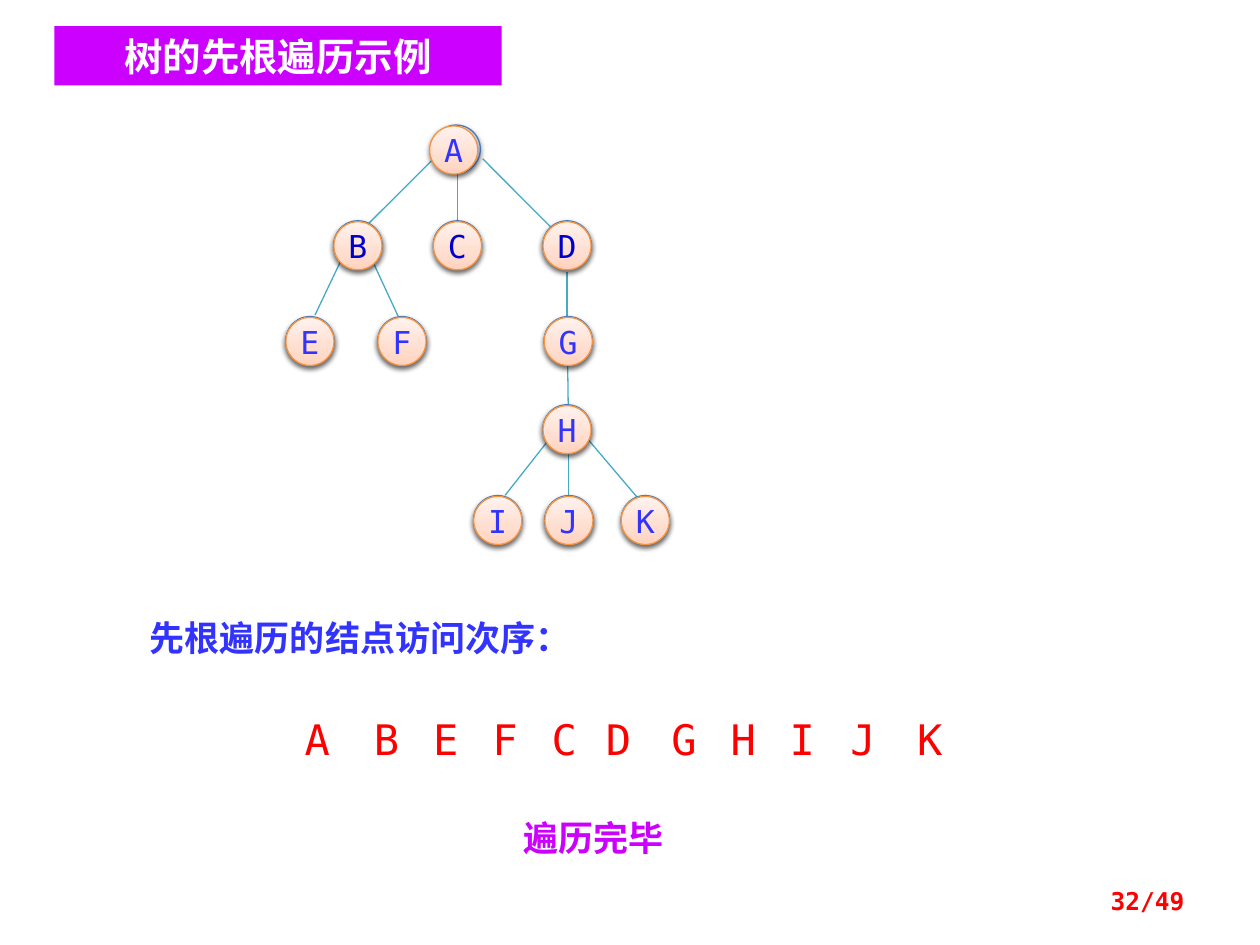
from dataclasses import dataclass

from pptx import Presentation
from pptx.dml.color import RGBColor
from pptx.enum.shapes import MSO_CONNECTOR, MSO_SHAPE
from pptx.enum.text import MSO_ANCHOR, PP_ALIGN
from pptx.oxml import parse_xml
from pptx.oxml.ns import nsdecls, qn
from pptx.util import Pt


@dataclass(frozen=True)
class Theme:
    mono: str = "DejaVu Sans Mono"
    han: str = "Noto Sans CJK SC"
    white: str = "FFFFFF"
    blue: str = "3333FF"
    navy: str = "0000CC"
    red: str = "FF0000"
    pink: str = "CC00FF"
    edge: str = "46AAC5"
    # Outline, then gradient colours from bottom to top
    cool: tuple = ("4B7EBC", "A4C4FF", "BFD4FF", "E6EEFF")
    warm: tuple = ("F69240", "FFD2BD", "FFDED0", "FFF2ED")
    title: int = 22
    body: int = 20
    order: int = 24
    node: int = 18
    page: int = 14
    thin: float = 0.75


THEME = Theme()
SIZE = 27.5
ROWS = (72, 126.7, 181.4, 231.8, 283.7)

# Letter: left, tree level
NODES = {
    "A": (245.5, 0), "B": (190.8, 1), "C": (247.7, 1), "D": (310.3, 1),
    "E": (163.4, 2), "F": (216, 2), "G": (311, 2), "H": (310.3, 3),
    "I": (270.7, 4), "J": (311.4, 4), "K": (355, 4),
}
EDGES = (
    (248.4, 90, 210.2, 128.2), (261.4, 98.6, 261.4, 126.7),
    (275.8, 90.7, 314.6, 129.6), (194.4, 149.8, 180, 180),
    (213.8, 151.2, 227.5, 180.7), (324, 155.5, 324, 180.7),
    (324.4, 208.8, 324.7, 231.1), (312.5, 252.7, 288.7, 283),
    (324.7, 259.2, 324.7, 283.7), (336.2, 251.3, 364.3, 284.4),
)
# Left of each letter in visiting order
VISITS = {
    "A": 167, "B": 206.6, "E": 240.5, "F": 274.3, "C": 308.2, "D": 339.1,
    "G": 376.6, "H": 410.4, "I": 444.2, "J": 478.8, "K": 517,
}


def write(shape, text, size, color, bold=False, align=PP_ALIGN.LEFT,
          anchor=MSO_ANCHOR.TOP, wrap=True, face=THEME.mono):
    frame = shape.text_frame
    frame.text = text
    frame.word_wrap = wrap
    frame.vertical_anchor = anchor
    para = frame.paragraphs[0]
    para.alignment = align
    font = para.runs[0].font
    font.size = Pt(size)
    font.bold = bold
    font.name = face
    font.color.rgb = RGBColor.from_string(color)
    font.fill.solid()
    font.color.rgb = RGBColor.from_string(color)
    latin = para.runs[0].font._element.find(qn("a:latin"))
    latin.addnext(parse_xml(f'<a:ea {nsdecls("a")} typeface="{THEME.han}"/>'))


def label(slide, box, text, size, color, **style):
    shape = slide.shapes.add_textbox(*map(Pt, box))
    write(shape, text, size, color, **style)


def banner(slide, box, text):
    shape = slide.shapes.add_shape(MSO_SHAPE.RECTANGLE, *map(Pt, box))
    shape.shadow.inherit = False
    shape.fill.solid()
    shape.fill.fore_color.rgb = RGBColor.from_string(THEME.pink)
    shape.line.fill.background()
    write(shape, text, THEME.title, THEME.white, bold=True,
          align=PP_ALIGN.CENTER, anchor=MSO_ANCHOR.MIDDLE, face=THEME.han)


def edge(slide, ends):
    line = slide.shapes.add_connector(MSO_CONNECTOR.STRAIGHT, *map(Pt, ends))
    line.line.color.rgb = RGBColor.from_string(THEME.edge)
    line.line.width = Pt(THEME.thin)
    line._element.spPr.append(parse_xml(f'<a:effectLst {nsdecls("a")}/>'))


def disc(slide, left, top, skin):
    """Draw a tree node with a gradient fill and a soft shadow."""
    shape = slide.shapes.add_shape(
        MSO_SHAPE.OVAL, Pt(left), Pt(top), Pt(SIZE), Pt(SIZE))
    rim, *tones = skin
    shape.line.color.rgb = RGBColor.from_string(rim)
    shape.line.width = Pt(THEME.thin)
    stops = "".join(
        f'<a:gs pos="{pos}"><a:srgbClr val="{tone}"/></a:gs>'
        for pos, tone in zip((0, 35000, 100000), tones))
    props = shape._element.spPr
    props.find(qn("a:prstGeom")).addnext(parse_xml(
        f'<a:gradFill {nsdecls("a")} rotWithShape="1"><a:gsLst>{stops}</a:gsLst>'
        '<a:lin ang="16200000" scaled="0"/></a:gradFill>'))
    props.append(parse_xml(
        f'<a:effectLst {nsdecls("a")}><a:outerShdw blurRad="{Pt(3.1)}" '
        f'dist="{Pt(1.6)}" dir="5400000" rotWithShape="0">'
        '<a:srgbClr val="000000"><a:alpha val="38000"/></a:srgbClr>'
        '</a:outerShdw></a:effectLst>'))
    return shape


def tree(slide):
    for ends in EDGES:
        edge(slide, ends)
    for name, (left, row) in NODES.items():
        shift = 1.5 if name == "A" else 0
        disc(slide, left + shift, ROWS[row] - 0.5, THEME.cool)
    for name, (left, row) in NODES.items():
        color = THEME.navy if row == 1 else THEME.blue
        write(disc(slide, left, ROWS[row], THEME.warm), name, THEME.node, color,
              align=PP_ALIGN.CENTER, anchor=MSO_ANCHOR.MIDDLE, wrap=False)


def main():
    deck = Presentation()
    deck.slide_width, deck.slide_height = Pt(720), Pt(540)
    slide = deck.slides.add_slide(deck.slide_layouts[6])
    tree(slide)
    label(slide, (78.5, 348.5, 298.8, 31.7), "先根遍历的结点访问次序：",
          THEME.body, THEME.blue, bold=True)
    for name, left in VISITS.items():
        label(slide, (left, 404, 28, 36.7), name, THEME.order, THEME.red,
              wrap=False)
    label(slide, (260, 463, 158.4, 31.7), "遍历完毕", THEME.body, THEME.pink,
          bold=True, align=PP_ALIGN.CENTER)
    banner(slide, (31, 15, 255.6, 33.8), "树的先根遍历示例")
    label(slide, (516.2, 500.4, 167.8, 28.8), "32/49", THEME.page, THEME.red,
          bold=True, align=PP_ALIGN.RIGHT, anchor=MSO_ANCHOR.MIDDLE)
    deck.save("out.pptx")


if __name__ == "__main__":
    main()
